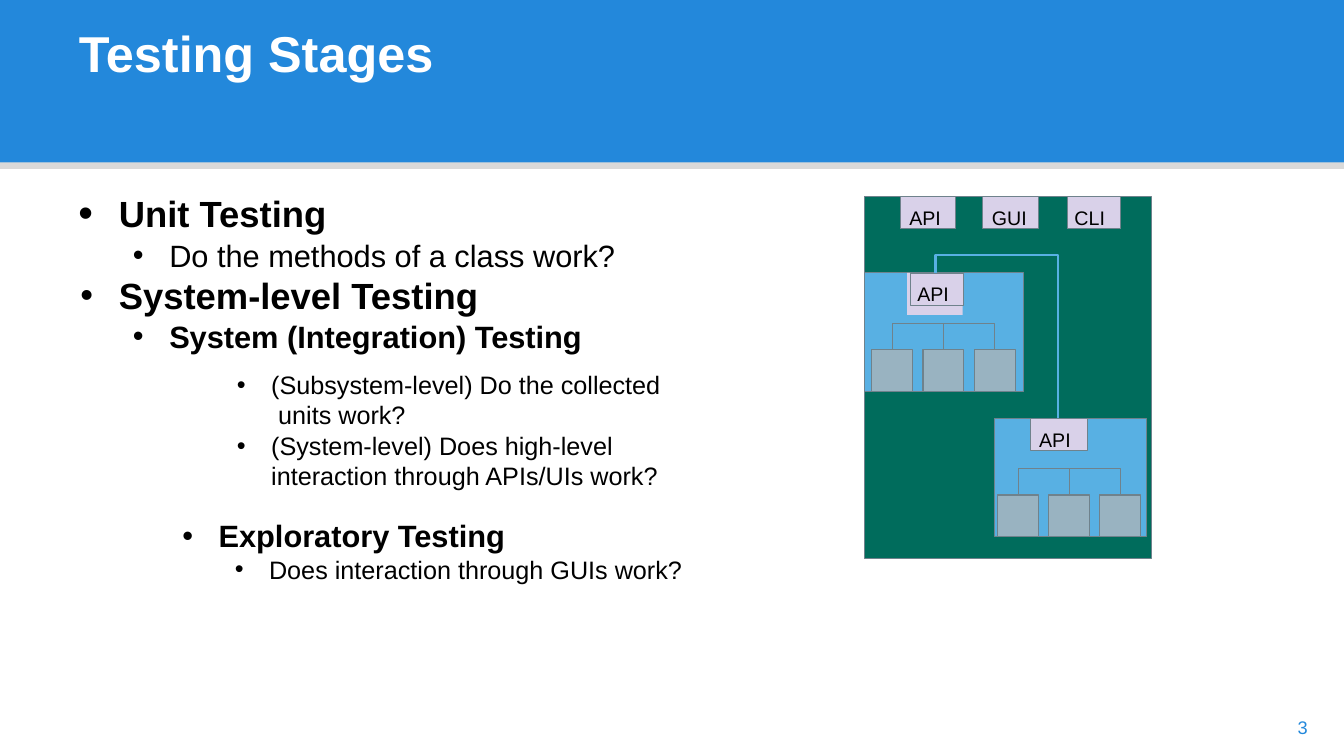
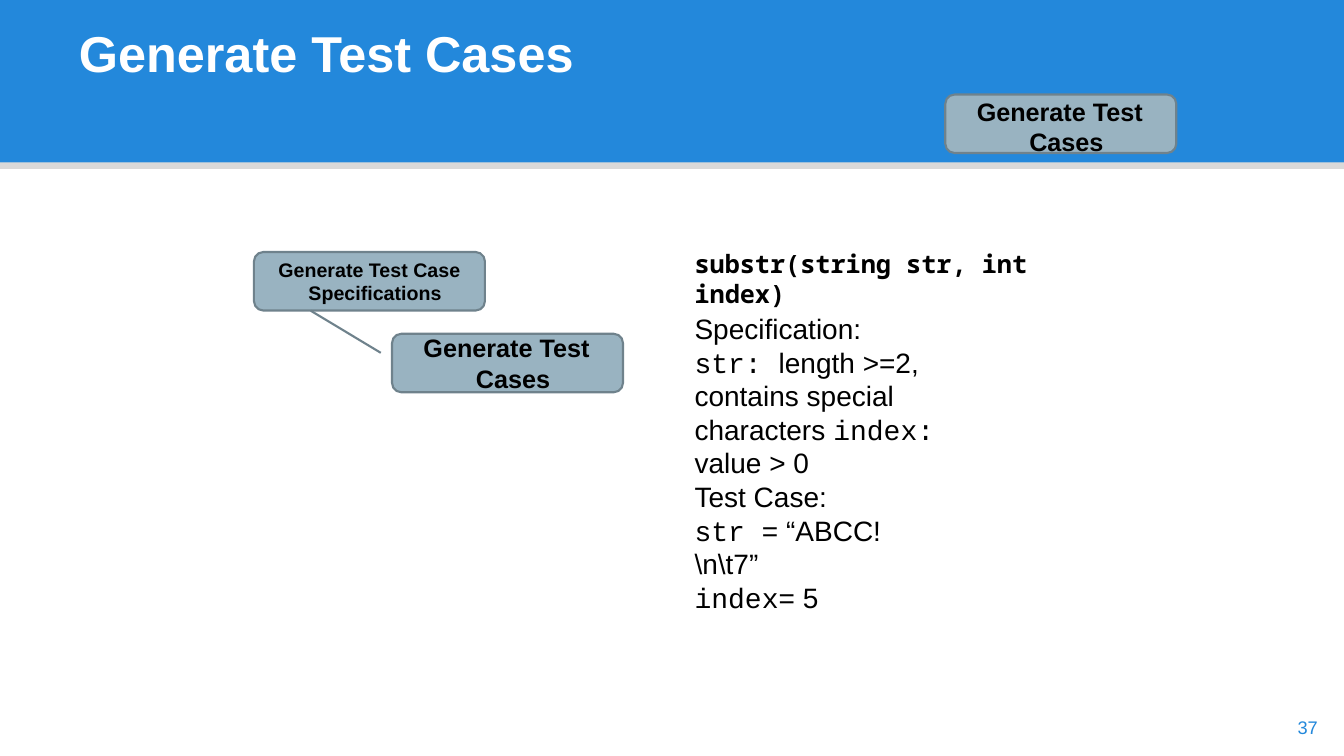
from lxml.etree import SubElement
from pptx import Presentation
from pptx.dml.color import RGBColor
from pptx.enum.shapes import MSO_CONNECTOR as LINK, MSO_SHAPE as SHAPE
from pptx.enum.text import MSO_ANCHOR as ANCHOR, MSO_AUTO_SIZE as AUTO, PP_ALIGN as ALIGN
from pptx.oxml.ns import qn
from pptx.util import Pt

COLOURS = {name: RGBColor.from_string(code) for name, code in {
    "blue": "2388DB", "black": "000000", "white": "FFFFFF",
    "green": "006C5C", "sky": "58B0E3", "lilac": "D9D1E9",
    "steel": "99B3C1", "edge": "6F828C",
}.items()}
MONO, CODE_BOLD = "Courier New", "Noto Sans Mono"


def add_block(page, kind, area, fill, edge_width=0):
    """Add a flat preset shape; area is left, top, width, height in points."""
    block = page.shapes.add_shape(kind, *map(Pt, area))
    block.shadow.inherit = False
    block.fill.solid()
    block.fill.fore_color.rgb = COLOURS[fill]
    if edge_width:
        block.line.color.rgb = COLOURS["edge"]
        block.line.width = Pt(edge_width)
    else:
        block.line.fill.background()
    return block


def write(shape, paras, insets=(0, 0.7, 0, 0), anchor=ANCHOR.TOP):
    """Fill a shape with paragraphs.

    Each one is (spans, format). Spans are (text, font name) pairs or one string;
    the format holds size, bold, colour, indent (left, first line), bullet size,
    and the paragraph's own spacing values.
    """
    frame = shape.text_frame
    frame_format = {"word_wrap": True, "auto_size": AUTO.NONE, "vertical_anchor": anchor}
    sides = ("margin_left", "margin_top", "margin_right", "margin_bottom")
    frame_format.update(zip(sides, map(Pt, insets)))
    for name, value in frame_format.items():
        setattr(frame, name, value)

    for number, (spans, style) in enumerate(paras):
        para = frame.add_paragraph() if number else frame.paragraphs[0]
        para.alignment = ALIGN.LEFT
        for name in ("space_before", "line_spacing"):
            if name in style:
                setattr(para, name, style[name])
        left, first = style.get("indent", (0, 0))
        props = para._p.get_or_add_pPr()
        props.set("marL", str(Pt(left)))
        props.set("indent", str(Pt(first)))
        if "bullet" in style:
            SubElement(props, qn("a:buSzPct")).set("val", str(style["bullet"] * 1000))
            SubElement(props, qn("a:buFont")).set("typeface", "Arial")
            SubElement(props, qn("a:buChar")).set("char", "•")
        for text, font_name in [(spans, "Arial")] if isinstance(spans, str) else spans:
            for index, line in enumerate(text.split("\v")):
                if index:
                    para.add_line_break()
                span = para.add_run()
                span.text = line
                font_format = {"name": font_name, "size": Pt(style["size"]),
                               "bold": style.get("bold", False)}
                for name, value in font_format.items():
                    setattr(span.font, name, value)
                span.font.color.rgb = COLOURS[style.get("colour", "black")]


deck = Presentation()
deck.slide_width, deck.slide_height = Pt(960), Pt(540)
layout = deck.slide_layouts[5]
links = []

# Shared title, page number and, on the layout, the header bands
pages = []
for title, number in (("Testing Stages", "3"), ("Generate Test Cases", "37")):
    page = deck.slides.add_slide(layout)
    heading = page.shapes.title
    for name, value in zip(("left", "top", "width", "height"), (55.4, 15.1, 849, 44)):
        setattr(heading, name, Pt(value))
    write(heading, [(title, {"size": 36, "bold": True, "colour": "white",
                             "indent": (1, 0), "space_before": Pt(1)})])
    number_box = page.shapes.add_textbox(Pt(923.8), Pt(511.2), Pt(27), Pt(15))
    write(number_box, [(number, {"size": 13, "colour": "blue", "indent": (3, 0)})])
    pages.append(page)
stages, cases = pages

header = add_block(stages, SHAPE.RECTANGLE, (0, 0, 960, 116), "blue")
strip = add_block(stages, SHAPE.RECTANGLE, (0, 116, 960, 4.7), "black")
strip_colour = next(strip.element.iter(qn("a:srgbClr")))
SubElement(strip_colour, qn("a:alpha")).set("val", "15000")
for position, band in enumerate((header, strip), start=2):
    layout.shapes.element.insert(position, band.element)

# Testing Stages: outline
main = {"size": 26, "bold": True, "bullet": 100, "indent": (29.5, -27.5)}
sub = {"size": 22, "bullet": 100, "indent": (65.5, -26)}
detail = {"size": 18, "bullet": 100, "indent": (25.2, -24.5), "line_spacing": 1.01}
outline = (
    ((55.4, 136.8, 849, 120), 0, [
        ("Unit Testing", main | {"bullet": 115, "indent": (29.5, -29), "space_before": Pt(1)}),
        ("Do the methods of a class work?",
         sub | {"line_spacing": Pt(26.2), "space_before": Pt(1.1)}),
        ("System-level Testing", main | {"line_spacing": Pt(31.1)}),
        ("System (Integration) Testing", sub | {"bold": True, "space_before": Pt(0.5)}),
    ]),
    ((168.5, 262.8, 315, 88.5), 0.7, [
        ("(Subsystem-level) Do the collected\v units work?", detail | {"space_before": Pt(0.8)}),
        ("(System-level) Does high-level\vinteraction through APIs/UIs work?", detail),
    ]),
    ((129.6, 368.6, 370, 50.4), 0.7, [
        ("Exploratory Testing",
         sub | {"bold": True, "indent": (26.6, -26), "space_before": Pt(1)}),
        ("Does interaction through GUIs work?",
         {"size": 18, "bullet": 100, "indent": (62.6, -24.5)}),
    ]),
)
for area, top_inset, paras in outline:
    box = stages.shapes.add_textbox(*map(Pt, area))
    write(box, paras, (0, top_inset, 0, 0))

# Testing Stages: system diagram
SYSTEM_LEFT, SYSTEM_TOP = 617.8, 140.4
UPPER_TOP, LOWER_TOP = 195, 298.8
SUBSYSTEM_HEIGHT, TAB_HEIGHT = 84.8, 23
UNIT_WIDTH, UNIT_HEIGHT, UNIT_STEP, TREE_RISE = 29.3, 30, 36.5, 18.7

add_block(stages, SHAPE.RECTANGLE, (SYSTEM_LEFT, SYSTEM_TOP, 204.5, 258.7), "green", 0.75)
polylines = [("sky", 1.5, [(668.2, UPPER_TOP), (668.2, 182.2),
                           (756, 182.2), (756, LOWER_TOP)])]
for left, top, width, first_unit in ((SYSTEM_LEFT, UPPER_TOP, 113.5, 5),
                                     (710.6, LOWER_TOP, 108.2, 2)):
    add_block(stages, SHAPE.RECTANGLE, (left, top, width, SUBSYSTEM_HEIGHT), "sky", 0.75)
    unit_top = top + SUBSYSTEM_HEIGHT - UNIT_HEIGHT
    tree_top = unit_top - TREE_RISE
    units = [add_block(stages, SHAPE.RECTANGLE,
                       (left + first_unit + column * UNIT_STEP, unit_top,
                        UNIT_WIDTH, UNIT_HEIGHT), "steel", 0.75)
             for column in range(3)]
    start = left + first_unit + UNIT_WIDTH / 2
    middle, end = start + UNIT_STEP, start + 2 * UNIT_STEP
    polylines.append(("edge", 0.75, [(start, unit_top), (start, tree_top),
                                     (end, tree_top), (end, unit_top)]))
    stem = stages.shapes.add_connector(LINK.STRAIGHT, *map(Pt, (middle, tree_top,
                                                                middle, unit_top)))
    stem.end_connect(units[1], 0)
    links.append((stem, 0.75))

add_block(stages, SHAPE.RECTANGLE, (648, UPPER_TOP, 39.6, 30), "lilac")
for label, left, top, width, inset in (
        ("API", 643, SYSTEM_TOP, 39.6, 6.5), ("GUI", 702, SYSTEM_TOP, 39.6, 6.5),
        ("CLI", 762.5, SYSTEM_TOP, 38, 5), ("API", 650.2, UPPER_TOP, 38, 5),
        ("API", 735.8, LOWER_TOP, 41, 6.5)):
    tab = add_block(stages, SHAPE.RECTANGLE, (left, top, width, TAB_HEIGHT), "lilac", 0.75)
    write(tab, [(label, {"size": 14})], (inset, 6.5, 0, 0))

for colour, width, points in polylines:
    corners = [(Pt(x), Pt(y)) for x, y in points]
    builder = stages.shapes.build_freeform(*corners[0])
    builder.add_line_segments(corners[1:], close=False)
    polyline = builder.convert_to_shape()
    polyline.shadow.inherit = False
    polyline.fill.background()
    polyline.line.color.rgb = COLOURS[colour]
    polyline.line.width = Pt(width)

# Generate Test Cases: steps
specification_style = {"size": 14, "bold": True, "indent": (22, -21.5),
                       "line_spacing": Pt(16.5)}
case_style = {"size": 18, "bold": True, "indent": (38, -37.5), "line_spacing": 1.01}
for label, left, top, insets, style in (
        ("Generate Test Case\vSpecifications", 181.4, 180, (15, 0, 0, 0), specification_style),
        ("Generate Test\vCases", 280, 238.4, (20, 0, 0, 0), case_style),
        ("Generate Test\vCases", 675.2, 67.5, (20, 3.6, 0, 0), case_style)):
    step = add_block(cases, SHAPE.ROUNDED_RECTANGLE, (left, top, 165, 41.8), "steel", 1.5)
    step.adjustments[0] = 0.16
    write(step, [(label, style)], insets, ANCHOR.MIDDLE)
step_link = cases.shapes.add_connector(LINK.STRAIGHT, *map(Pt, (222, 222, 272, 252)))
links.append((step_link, 1.5))

# Generate Test Cases: worked example
plain = {"size": 20, "indent": (0.7, 0)}
opening = plain | {"space_before": Pt(1)}
example = (
    (176.4, 288, [([("substr(string str, int index)", CODE_BOLD)],
                   opening | {"size": 18, "bold": True})]),
    (221.8, 235.5, [
        ("Specification:", opening),
        ([("str: ", MONO), ("length >=2,\vcontains special\vcharacters ", "Arial"),
          ("index:\v", MONO), ("value > 0", "Arial")], plain),
    ]),
    (342, 174.2, [
        ("Test Case:", opening),
        ([("str ", MONO), ("= “ABCC!\v\\n\\t7”", "Arial")], plain),
        ([("index", MONO), ("= 5", "Arial")], plain),
    ]),
)
for top, width, paras in example:
    box = cases.shapes.add_textbox(Pt(495.4), Pt(top), Pt(width), Pt(24 * len(paras)))
    write(box, paras)

for link, width in links:
    link.line.color.rgb = COLOURS["edge"]
    link.line.width = Pt(width)
    SubElement(link.element.spPr, qn("a:effectLst"))

deck.save("out.pptx")
